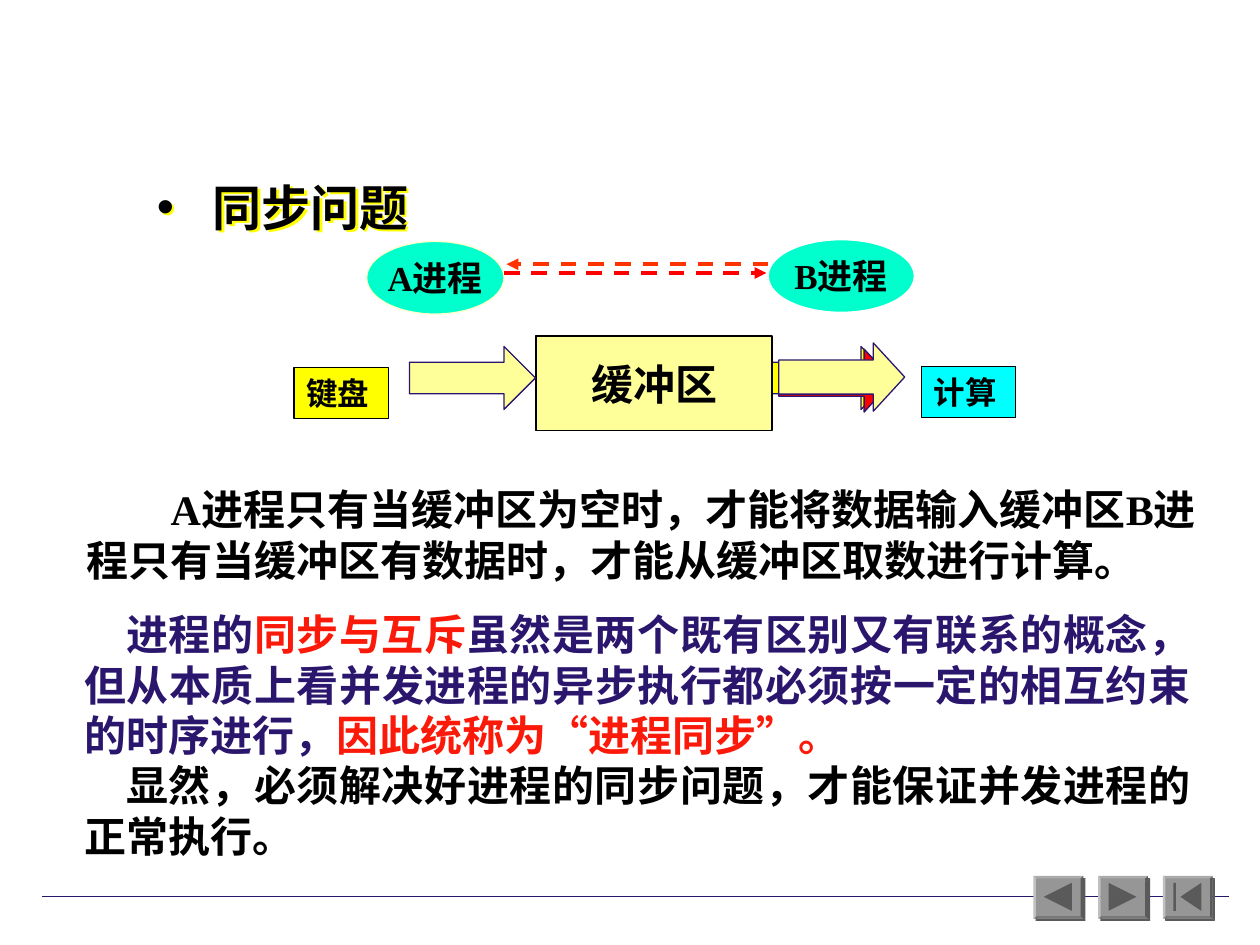
from lxml.etree import SubElement
from pptx import Presentation
from pptx.dml.color import RGBColor
from pptx.enum.dml import MSO_LINE_DASH_STYLE as Dash
from pptx.enum.shapes import MSO_CONNECTOR as Connector, MSO_SHAPE as Shape
from pptx.enum.text import MSO_ANCHOR as Anchor, MSO_AUTO_SIZE as AutoSize, PP_ALIGN as Align
from pptx.oxml.ns import qn
from pptx.util import Pt

SERIF = "Times New Roman"
SANS = "Noto Sans CJK SC"
BLACK = "000000"
NAVY = "2B166E"
RED = "FB1A09"
CREAM = "FFFF99"


def rgb(value):
    return RGBColor.from_string(value)


def add_shadow(shape, color):
    """Give a shape a hard shadow falling to the lower right."""
    shape.shadow.inherit = False
    effects = shape._element.spPr.find(qn("a:effectLst"))
    shadow = SubElement(effects, qn("a:outerShdw"), dist=str(Pt(1.8)), dir="2700000",
                        algn="ctr", rotWithShape="0")
    SubElement(shadow, qn("a:srgbClr"), val=color)


def paint(shape, fill, line=None):
    shape.shadow.inherit = False
    shape.fill.solid()
    shape.fill.fore_color.rgb = rgb(fill)
    if line:
        shape.line.color.rgb = rgb(line)
        shape.line.width = Pt(0.75)
    else:
        shape.line.fill.background()


def add_run(paragraph, text, size, color=BLACK, font=SERIF):
    run = paragraph.add_run()
    run.text = text
    run.font.size = Pt(size)
    run.font.bold = True
    run.font.name = font
    run.font.color.rgb = rgb(color)
    SubElement(run._r.get_or_add_rPr(), qn("a:ea"), typeface=SANS)


def set_frame(shape, anchor, wrap=True):
    frame = shape.text_frame
    frame.word_wrap = wrap
    frame.auto_size = AutoSize.NONE
    frame.vertical_anchor = anchor
    return frame


def add_node(slide, kind, place, fill, line, label=None, size=20, align=Align.CENTER):
    node = slide.shapes.add_shape(kind, *map(Pt, place))
    paint(node, fill, line)
    if label:
        paragraph = set_frame(node, Anchor.MIDDLE, wrap=False).paragraphs[0]
        paragraph.alignment = align
        add_run(paragraph, label, size)
    return node


def add_flow_arrow(slide, place, fill, head=0.5):
    arrow = add_node(slide, Shape.RIGHT_ARROW, place, fill, NAVY)
    arrow.adjustments[1] = head


def add_line(slide, start, end, color, width):
    line = slide.shapes.add_connector(Connector.STRAIGHT, *map(Pt, (*start, *end)))
    line.line.color.rgb = rgb(color)
    line.line.width = Pt(width)
    SubElement(line._element.spPr, qn("a:effectLst"))
    return line


def add_signal(slide, start, end, color):
    signal = add_line(slide, start, end, color, 2.25)
    signal.line.dash_style = Dash.DASH
    SubElement(signal.line._get_or_add_ln(), qn("a:tailEnd"), type="triangle")


def add_heading(slide, text):
    heading = slide.shapes.title
    heading.left, heading.top, heading.width, heading.height = map(Pt, (73.5, 97, 438, 42))
    add_shadow(heading, "FFFF00")
    paragraph = set_frame(heading, Anchor.MIDDLE).paragraphs[0]
    paragraph.alignment = Align.LEFT
    props = paragraph._p.get_or_add_pPr()
    props.set("marL", str(Pt(41)))
    props.set("indent", str(Pt(-32)))
    SubElement(props, qn("a:buFont"), typeface="Arial")
    SubElement(props, qn("a:buChar"), char="•")
    add_run(paragraph, text, 28, font=SANS)


def add_prose(slide, place, anchor, indent, paragraphs):
    """Each paragraph is a list of (text, color, font) runs."""
    frame = set_frame(slide.shapes.add_textbox(*map(Pt, place)), anchor)
    for number, runs in enumerate(paragraphs):
        paragraph = frame.add_paragraph() if number else frame.paragraphs[0]
        paragraph.alignment = Align.JUSTIFY
        paragraph._p.get_or_add_pPr().set("indent", str(Pt(indent)))
        for text, color, font in runs:
            add_run(paragraph, text, 24, color, font)


def add_outline(slide, points, fill):
    (x, y), *rest = points
    builder = slide.shapes.build_freeform(Pt(x), Pt(y))
    builder.add_line_segments([(Pt(px), Pt(py)) for px, py in rest], close=True)
    paint(builder.convert_to_shape(), fill)


def add_nav_button(slide, left, tip, base, bar=None):
    """tip, base and bar are distances from the button's left edge."""
    top, middle, bottom = 504.5, 512.5, 520.5
    button = add_node(slide, Shape.BEVEL, (left, 500.5, 28.5, 24.5), "969696", None)
    button.adjustments[0] = 0.06
    add_shadow(button, "5A5A5A")
    add_outline(slide, [(left + tip, middle), (left + base, top), (left + base, bottom)],
                "5A5A5A")
    if bar:
        add_node(slide, Shape.RECTANGLE, (left + bar, top, 1.5, bottom - top), "5A5A5A", None)


def main():
    deck = Presentation()
    deck.slide_width, deck.slide_height = Pt(720), Pt(540)
    slide = deck.slides.add_slide(deck.slide_layouts[5])

    # Footer rule and navigation buttons
    add_line(slide, (24, 512.5), (702, 512.5), NAVY, 0.75)
    add_nav_button(slide, 590.5, tip=6, base=22)
    add_nav_button(slide, 627.5, tip=22, base=6)
    add_nav_button(slide, 664.5, tip=10, base=22, bar=6)

    add_heading(slide, "同步问题")

    # Data flow: keyboard, buffer, computation
    add_flow_arrow(slide, (438, 198, 72, 36), "FFFF00")
    for label, place, fill in (("键盘", (168, 210, 54, 29), "FFFF00"),
                               ("计算", (526.5, 209.5, 54, 29), "00FFFF")):
        add_node(slide, Shape.RECTANGLE, place, fill, BLACK, label, 18, Align.LEFT)
    add_flow_arrow(slide, (445, 199.5, 65, 36), "FF0000", 0.45)
    add_node(slide, Shape.RECTANGLE, (306, 192, 132, 54), "FF0000", BLACK)
    add_flow_arrow(slide, (234, 198, 72, 36), CREAM)
    add_flow_arrow(slide, (445, 196, 72, 39), CREAM, 0.46)
    add_node(slide, Shape.RECTANGLE, (306.75, 192, 134.5, 54), CREAM, BLACK, "缓冲区", 24)

    # Processes and the signals between them
    add_node(slide, Shape.OVAL, (439, 137, 83.5, 41.5), "00FFCC", "FFFFFF", "B进程")
    add_node(slide, Shape.OVAL, (209.5, 138, 78.5, 41.5), "00FFCC", "FFFFCC", "A进程")
    add_signal(slide, (288, 156), (438, 156), "FF0000")
    add_signal(slide, (439, 151), (289.5, 151), "FF3300")

    # Explanation
    add_prose(slide, (42.5, 273, 648, 65), Anchor.TOP, 48, [[
        ("A", BLACK, SERIF),
        ("进程只有当缓冲区为空时，才能将数据输入缓冲区", BLACK, SANS),
        ("B", BLACK, SERIF),
        ("进程只有当缓冲区有数据时，才能从缓冲区取数进行计算。", BLACK, SANS),
    ]])
    add_prose(slide, (41, 344, 646.5, 151.5), Anchor.MIDDLE, 24, [
        [("进程的", NAVY, SANS),
         ("同步与互斥", RED, SANS),
         ("虽然是两个既有区别又有联系的概念，但从本质上看并发进程的异步执行"
          "都必须按一定的相互约束的时序进行，", NAVY, SANS),
         ("因此统称为“进程同步”。", RED, SANS)],
        [("显然，必须解决好进程的同步问题，才能保证并发进程的正常执行。", BLACK, SANS)],
    ])

    deck.save("out.pptx")


if __name__ == "__main__":
    main()
